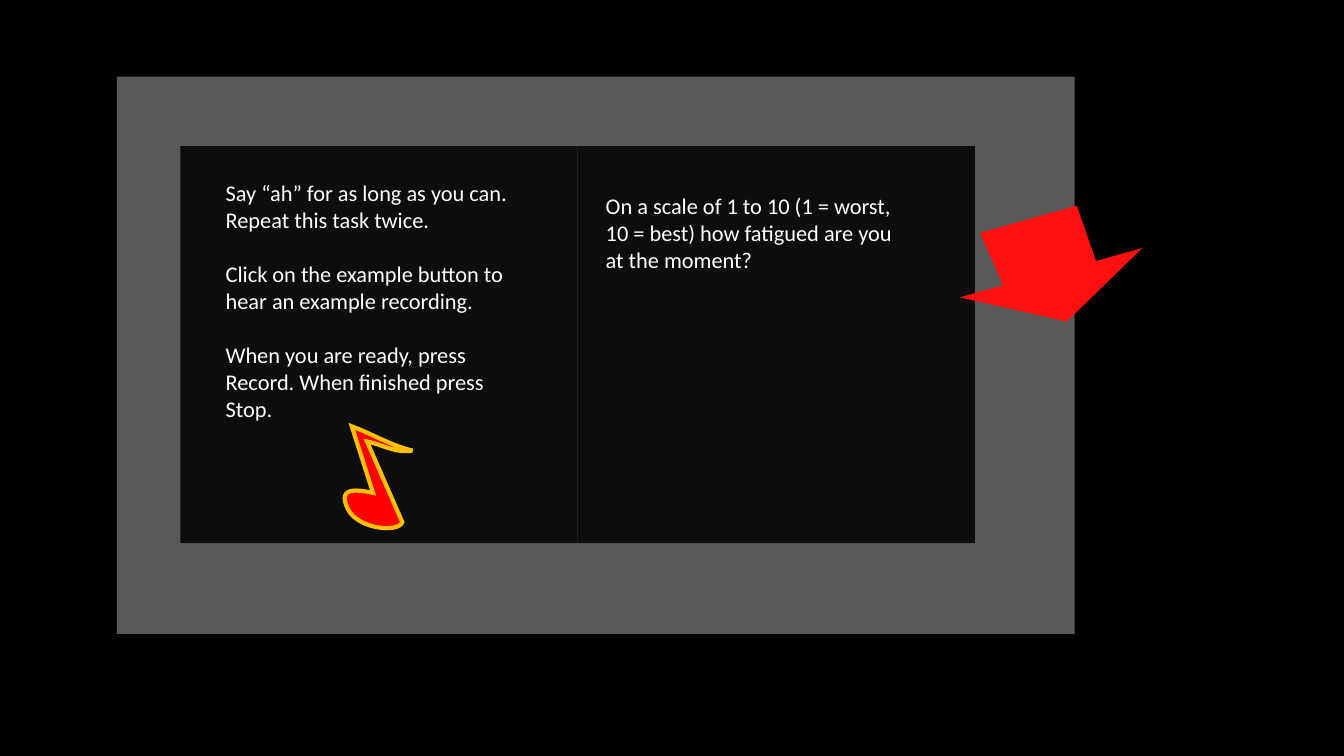
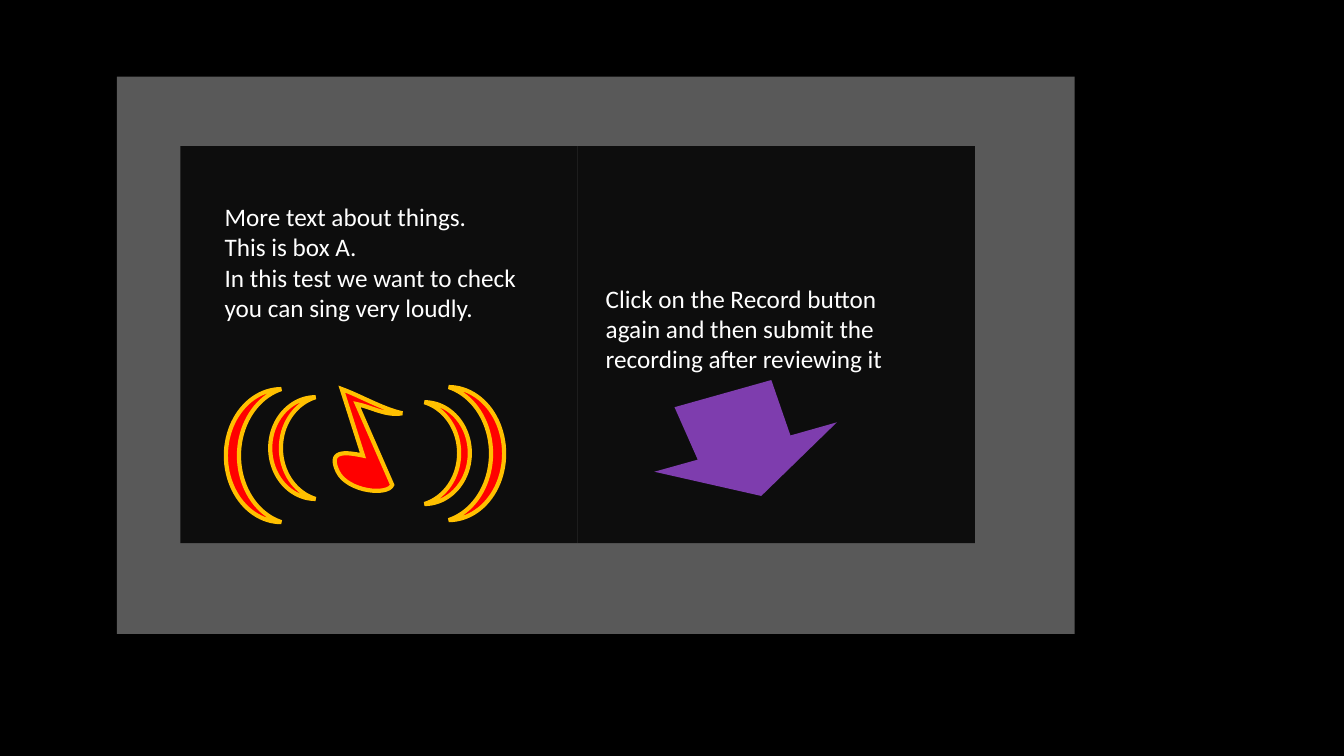
from lxml.etree import SubElement
from pptx import Presentation
from pptx.dml.color import RGBColor
from pptx.enum.shapes import MSO_SHAPE
from pptx.oxml.ns import qn
from pptx.util import Inches, Pt

BLACK = RGBColor(0x00, 0x00, 0x00)
FRAME_GRAY = RGBColor(0x59, 0x59, 0x59)
PANEL_DARK = RGBColor(0x0D, 0x0D, 0x0D)
WHITE = RGBColor(0xFF, 0xFF, 0xFF)
RED = RGBColor(0xFF, 0x00, 0x00)
GOLD = RGBColor(0xFF, 0xC0, 0x00)
ARROW_RED = RGBColor(0xFF, 0x0F, 0x0F)
ARROW_PURPLE = RGBColor(0x7E, 0x3D, 0xAE)
FONT = "Calibri"

FRAME = (1.16, 0.76, 9.5, 5.53)
PANEL_LEFT, PANEL_TOP, PANEL_SIZE = 1.79, 1.45, 3.94
TEXT_WIDTH = 3.24
LINE_SPACING = 1.22

ARROW = [(0.2, 0.27), (1.16, 0), (1.35, 0.55), (1.81, 0.42),
         (1.06, 1.15), (0, 0.91), (0.43, 0.79)]
NOTE = [
    [(0.07, 0)],
    [(0.28, 0.66)],
    [(0.09, 0.62), (-0.07, 0.61), (0.03, 0.82)],
    [(0.13, 1.02), (0.53, 1.06), (0.57, 0.95)],
    [(0.22, 0.15)],
    [(0.37, 0.18), (0.51, 0.27), (0.67, 0.24)],
    [(0.48, 0.2), (0.26, 0.07), (0.07, 0)],
]


def paint(sp, fill, line=None):
    sp.shadow.inherit = False
    sp.fill.solid()
    sp.fill.fore_color.rgb = fill
    if line is None:
        sp.line.fill.background()
        return
    sp.line.color.rgb = line
    sp.line.width = Pt(3)
    SubElement(sp.line._get_or_add_ln(), qn("a:miter"), lim="800000")


def add_preset(s, kind, box, fill, line=None):
    sp = s.shapes.add_shape(kind, *map(Inches, box))
    paint(sp, fill, line)
    return sp


def add_outline(s, left, top, points, fill, line=None):
    corners = [(Inches(left + x), Inches(top + y)) for x, y in points]
    builder = s.shapes.build_freeform(*corners[0], scale=1.0)
    builder.add_line_segments(corners[1:], close=True)
    paint(builder.convert_to_shape(), fill, line)


def curve(start, c1, c2, end, steps=16):
    for i in range(1, steps + 1):
        t = i / steps
        u = 1 - t
        yield tuple(u**3 * a + 3 * u * u * t * b + 3 * u * t * t * c + t**3 * d
                    for a, b, c, d in zip(start, c1, c2, end))


def add_note(s, left, top):
    points = []
    for step in NOTE:
        points += curve(points[-1], *step) if len(step) == 3 else step
    add_outline(s, left, top, points[:-1], RED, GOLD)


def add_arrow(s, left, top, color):
    add_outline(s, left, top, ARROW, color)


def add_sound_wave(s, box, rotation):
    moon = add_preset(s, MSO_SHAPE.MOON, box, RED, GOLD)
    moon.adjustments[0] = 0.236
    moon.rotation = rotation


def add_text(s, left, top, height, size, lines, gap=0):
    tf = s.shapes.add_textbox(*map(Inches, (left, top, TEXT_WIDTH, height))).text_frame
    tf.word_wrap = True
    for i, (text, has_gap) in enumerate(lines):
        p = tf.paragraphs[0] if i == 0 else tf.add_paragraph()
        if has_gap:
            p.space_before = Pt(size * LINE_SPACING)
        r = p.add_run()
        r.text = text
        r.font.name = FONT
        r.font.size = Pt(size)
        r.font.color.rgb = WHITE


def add_base_slide(prs):
    s = prs.slides.add_slide(prs.slide_layouts[6])
    s.background.fill.solid()
    s.background.fill.fore_color.rgb = BLACK
    add_preset(s, MSO_SHAPE.RECTANGLE, FRAME, FRAME_GRAY)
    for column in range(2):
        box = (PANEL_LEFT + column * PANEL_SIZE, PANEL_TOP, PANEL_SIZE, PANEL_SIZE)
        add_preset(s, MSO_SHAPE.RECTANGLE, box, PANEL_DARK)
    return s


def build_task_slide(prs):
    s = add_base_slide(prs)
    add_text(s, 2.14, 1.73, 2.52, 16, [
        ("Say “ah” for as long as you can.", False),
        ("Repeat this task twice.", False),
        ("Click on the example button to hear an example recording.", True),
        ("When you are ready, press Record. When finished press Stop.", True),
    ])
    add_text(s, 5.91, 1.86, 0.91, 16, [
        ("On a scale of 1 to 10 (1 = worst, 10 = best) how fatigued are you at the moment?", False),
    ])
    add_note(s, 3.42, 4.23)
    add_arrow(s, 9.52, 2.04, ARROW_RED)


def build_singing_slide(prs):
    s = add_base_slide(prs)
    add_text(s, 2.13, 1.95, 1.31, 18, [
        ("More text about things.", False),
        ("This is box A.", False),
        ("In this test we want to check you can sing very loudly.", False),
    ])
    add_text(s, 5.91, 2.76, 1.01, 18, [
        ("Click on the Record button again and then submit the recording after reviewing it", False),
    ])
    add_note(s, 3.32, 3.86)
    add_arrow(s, 6.49, 3.77, ARROW_PURPLE)
    for box, rotation in [
        ((2.68, 3.94, 0.45, 1.01), 0),
        ((2.24, 3.86, 0.55, 1.32), 0),
        ((4.21, 3.99, 0.45, 1.01), 180),
        ((4.45, 3.84, 0.55, 1.32), 180),
    ]:
        add_sound_wave(s, box, rotation)


def main():
    prs = Presentation()
    prs.slide_width = Inches(13.33)
    prs.slide_height = Inches(7.5)
    build_task_slide(prs)
    build_singing_slide(prs)
    prs.save("out.pptx")


if __name__ == "__main__":
    main()
